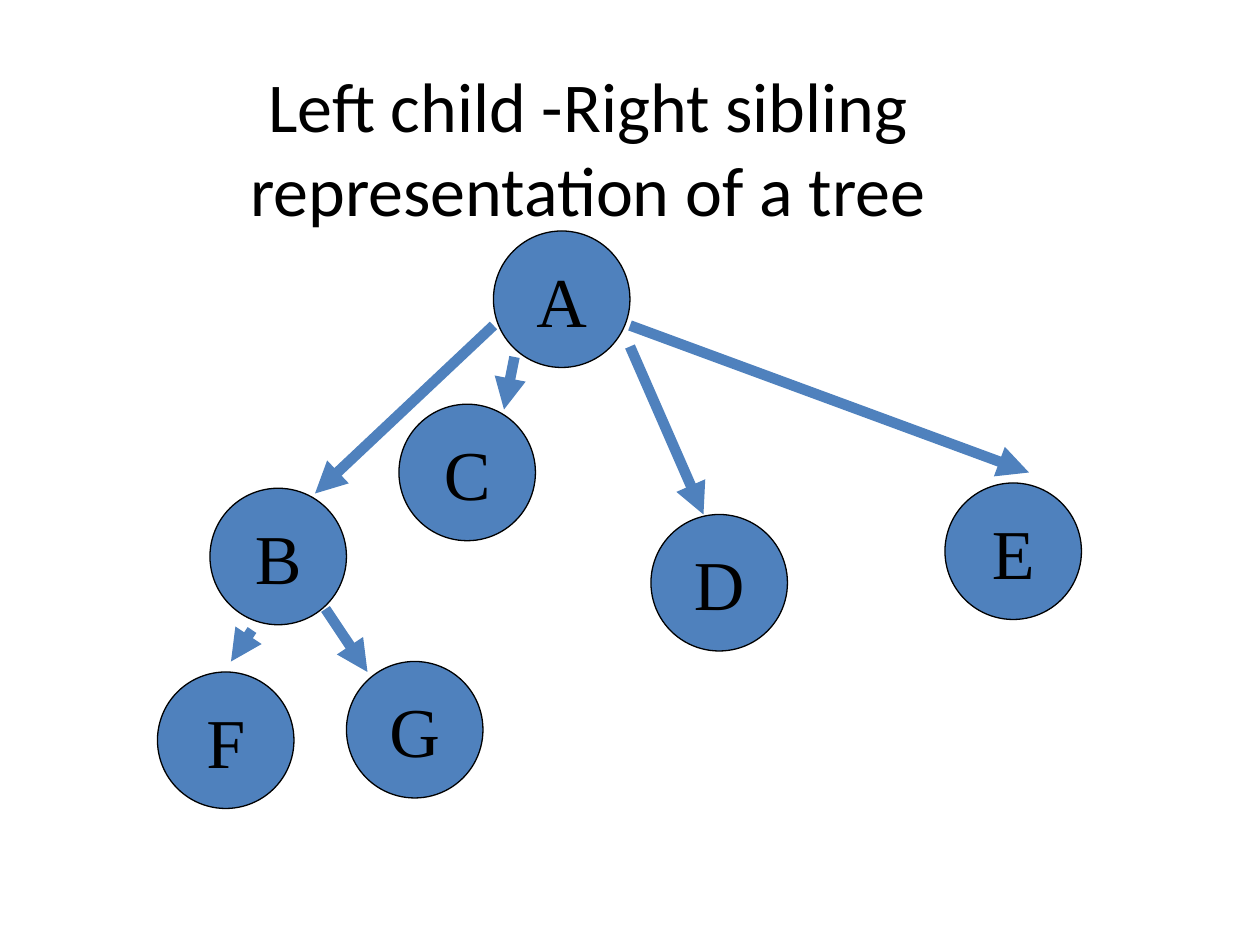
from dataclasses import dataclass
from pptx import Presentation
from pptx.dml.color import RGBColor as RGB
from pptx.enum.shapes import MSO_CONNECTOR as Link, MSO_SHAPE as Shape
from pptx.enum.text import MSO_ANCHOR as Anchor, PP_ALIGN as Align
from pptx.oxml.ns import qn
from pptx.util import Pt
from lxml.etree import SubElement as Sub


@dataclass(frozen=True)
class Theme:
    ink: RGB = RGB(0, 0, 0)
    blue: RGB = RGB(0x4F, 0x81, 0xBD)
    head: str = "Calibri"
    body: str = "Times New Roman"
    size: int = 40
    node: int = 78
    rim: float = 0.75
    edge: int = 6


THEME = Theme()

NODES = {
    "A": (282, 132),
    "B": (120, 279),
    "C": (228, 231),
    "D": (372, 294),
    "E": (540, 276),
    "G": (198, 378),
    "F": (90, 384),
}

EDGES = [
    ((282, 186), (180, 282)),
    ((294, 204), (288, 234)),
    ((360, 198), (402, 294)),
    ((360, 186), (588, 270)),
    ((144, 360), (132, 378)),
    ((186, 348), (210, 384)),
]


def write(frame, text, face):
    frame.text = text
    frame.vertical_anchor = Anchor.MIDDLE
    para = frame.paragraphs[0]
    para.alignment = Align.CENTER
    font = para.runs[0].font
    font.name, font.size = face, Pt(THEME.size)
    font.color.rgb = THEME.ink


def add_title(slide, text):
    title = slide.shapes.title
    title.left, title.top = Pt(72), Pt(30)
    title.width, title.height = Pt(528), Pt(108)
    write(title.text_frame, text, THEME.head)


def add_node(slide, name, left, top):
    side = Pt(THEME.node)
    node = slide.shapes.add_shape(Shape.OVAL, Pt(left), Pt(top), side, side)
    node.shadow.inherit = False
    node.fill.solid()
    node.fill.fore_color.rgb = THEME.blue
    node.line.color.rgb = THEME.ink
    node.line.width = Pt(THEME.rim)
    node.text_frame.word_wrap = False
    write(node.text_frame, name, THEME.body)


def add_edge(slide, start, end):
    ends = [Pt(v) for v in (*start, *end)]
    edge = slide.shapes.add_connector(Link.STRAIGHT, *ends)
    edge.line.color.rgb = THEME.blue
    edge.line.width = Pt(THEME.edge)
    Sub(edge.line._get_or_add_ln(), qn("a:tailEnd"), type="triangle")
    Sub(edge._element.spPr, qn("a:effectLst"))


def main():
    deck = Presentation()
    deck.slide_width, deck.slide_height = Pt(720), Pt(540)
    slide = deck.slides.add_slide(deck.slide_layouts[5])
    add_title(slide, "Left child -Right sibling representation of a tree")
    for name, (left, top) in NODES.items():
        add_node(slide, name, left, top)
    for start, end in EDGES:
        add_edge(slide, start, end)
    deck.save("out.pptx")


if __name__ == "__main__":
    main()
